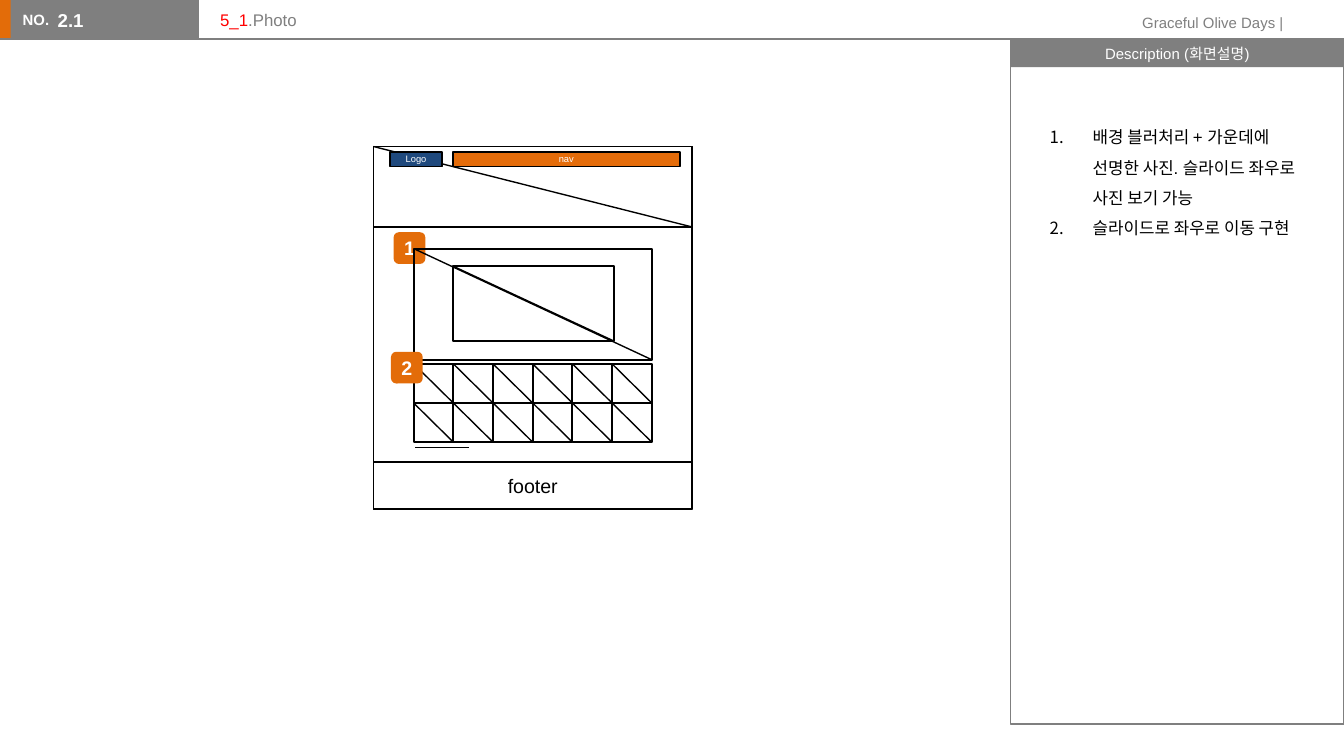
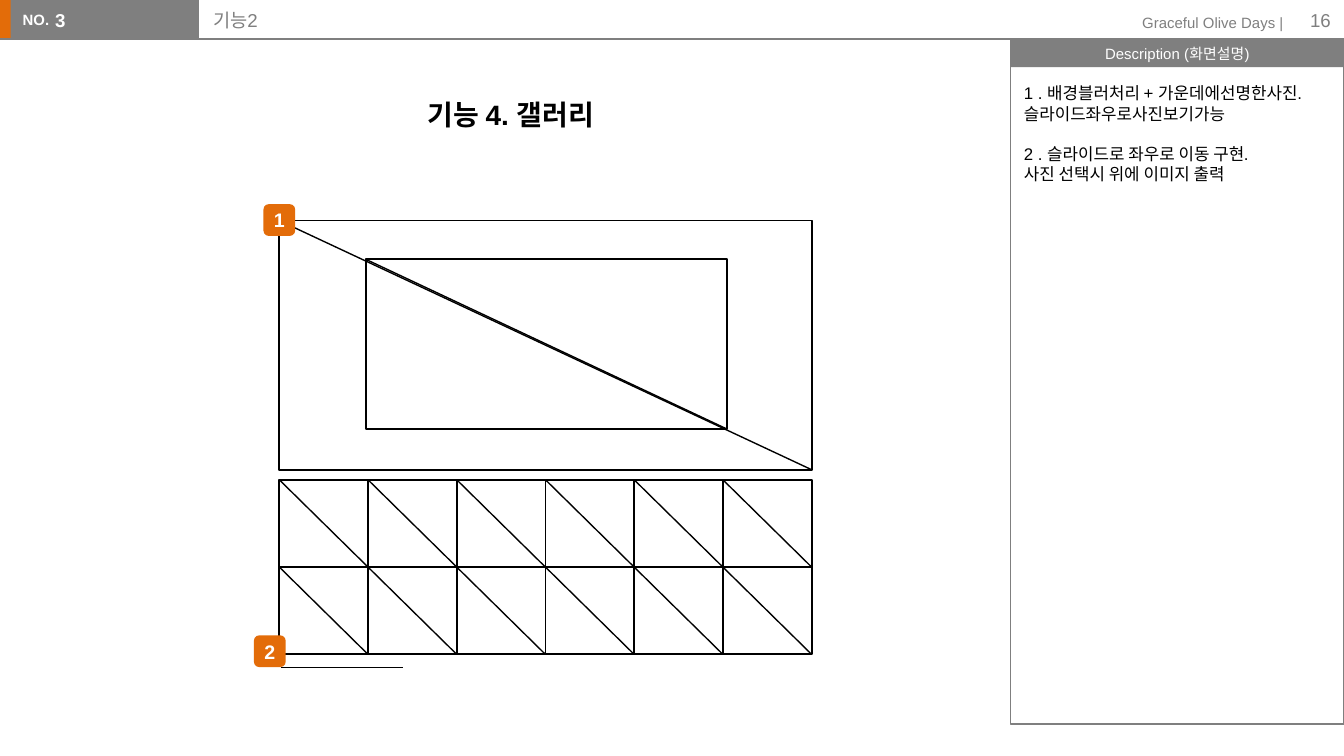
from pptx import Presentation
from pptx.dml.color import RGBColor
from pptx.enum import shapes, text
from pptx.oxml.ns import qn
from pptx.util import Cm, Pt
from lxml import etree

ORANGE = RGBColor(0xE3, 0x6C, 0x09)
NAV_ORANGE = RGBColor(0xE4, 0x6C, 0x0A)
NAVY = RGBColor(0x1F, 0x49, 0x7D)
GRAY = RGBColor(0x7F, 0x7F, 0x7F)
RED = RGBColor(0xFF, 0x00, 0x00)
BLACK = RGBColor(0x00, 0x00, 0x00)
WHITE = RGBColor(0xFF, 0xFF, 0xFF)

FONT = "Arial"
RECTANGLE = shapes.MSO_SHAPE.RECTANGLE
LEFT, CENTER, RIGHT = text.PP_ALIGN.LEFT, text.PP_ALIGN.CENTER, text.PP_ALIGN.RIGHT
TOP, MIDDLE = text.MSO_ANCHOR.TOP, text.MSO_ANCHOR.MIDDLE
BADGE_SIZE = 0.6
COLUMNS, ROWS = 6, 2


def add_line(target, start, end, color=BLACK):
    line = target.add_connector(shapes.MSO_CONNECTOR.STRAIGHT, *map(Cm, start + end))
    line.line.color.rgb = color
    line.line.width = Pt(0.75)
    etree.SubElement(line.element.spPr, qn("a:effectLst"))
    return line


def add_box(target, box, kind=RECTANGLE, fill=None, line=None, line_width=1, crossed=False,
            content="", size=9, color=BLACK, bold=False, align=CENTER, anchor=MIDDLE,
            inset=(0.25, 0.13)):
    """Add a preset shape, or a text box when kind is None; crossed adds a diagonal."""
    if kind is None:
        shape = target.add_textbox(*map(Cm, box))
    else:
        shape = target.add_shape(kind, *map(Cm, box))
        shape.shadow.inherit = False
        if fill is None:
            shape.fill.background()
        else:
            shape.fill.solid()
            shape.fill.fore_color.rgb = fill
        if line is None:
            shape.line.fill.background()
        else:
            shape.line.color.rgb = line
            shape.line.width = Pt(line_width)
    if content:
        frame = shape.text_frame
        frame.text = content
        frame.word_wrap = True
        frame.vertical_anchor = anchor
        frame.margin_left = frame.margin_right = Cm(inset[0])
        frame.margin_top = frame.margin_bottom = Cm(inset[1])
        for paragraph in frame.paragraphs:
            paragraph.alignment = align
            paragraph.font.name = FONT
            paragraph.font.size = Pt(size)
            paragraph.font.bold = bold
            paragraph.font.color.rgb = color
    if crossed:
        left, top, width, height = box
        add_line(target, (left, top), (left + width, top + height))
    return shape


presentation = Presentation()
presentation.slide_width = Cm(25.4)
presentation.slide_height = Cm(14.29)
layout = presentation.slide_layouts[1]
photo_slide = presentation.slides.add_slide(layout)
gallery_slide = presentation.slides.add_slide(layout)

# Shared frame, moved to the layout
for placeholder in list(layout.placeholders):
    if placeholder.placeholder_format.idx >= 10:
        layout.shapes.element.remove(placeholder.element)
target = photo_slide.shapes
frame_shapes = [
    add_box(target, (-0.03, 0, 0.3, 0.74), fill=ORANGE),
    add_box(target, (0.2, 0, 3.56, 0.74), fill=GRAY),
    add_box(target, (0.18, 0.08, 1.04, 0.61), kind=None, content="NO.", size=8,
            color=WHITE, bold=True, align=LEFT, anchor=TOP),
    add_line(target, (0, 0.74), (19.46, 0.74), GRAY),
    add_box(target, (19.1, 0.74, 6.3, 0.53), fill=GRAY, content="Description (화면설명)",
            size=8, color=WHITE, inset=(0.23, 0.1)),
    add_box(target, (19.1, 0.74, 6.3, 12.95), line=GRAY, line_width=0.75),
    add_box(target, (20.65, 0.13, 3.86, 0.61), kind=None, content="Graceful Olive Days |",
            size=8, color=GRAY, align=RIGHT, anchor=TOP),
]
frame_shapes[2].text_frame.word_wrap = False
for shape in frame_shapes:
    layout.shapes.element.append(shape.element)

# Titles and section numbers
headers = [
    (photo_slide, TOP, 0.13, 0,
     (3.91, 0.05, 14.25, 0.81), 9, [("5_1", RED), (".Photo", GRAY)],
     (1.09, 0.03, 2.79, 0.79), "2.1", 0.97, 0),
    (gallery_slide, MIDDLE, 0.25, 0.25,
     (3.78, 0, 14.25, 0.76), 10, [("기능2", GRAY)],
     (0.79, 0, 2.79, 0.76), "3", 0, 2),
]
for (slide, anchor, vertical_inset, number_inset, title_box, title_size, title_parts,
     number_box, number, hanging, space_before) in headers:
    title, body = slide.shapes.title, slide.placeholders[1]
    for shape, box, inset in ((title, title_box, 0.25), (body, number_box, number_inset)):
        shape.left, shape.top, shape.width, shape.height = map(Cm, box)
        frame = shape.text_frame
        frame.auto_size = text.MSO_AUTO_SIZE.NONE
        frame.vertical_anchor = anchor
        frame.margin_left = frame.margin_right = Cm(inset)
        frame.margin_top = frame.margin_bottom = Cm(vertical_inset)

    paragraph = title.text_frame.paragraphs[0]
    paragraph.alignment = LEFT
    paragraph.font.name = FONT
    paragraph.font.size = Pt(title_size)
    for part, color in title_parts:
        run = paragraph.add_run()
        run.text = part
        run.font.color.rgb = color

    body.text_frame.text = number
    paragraph = body.text_frame.paragraphs[0]
    properties = paragraph._p.get_or_add_pPr()
    properties.set("marL", str(Cm(hanging)))
    properties.set("indent", str(-Cm(hanging)))
    etree.SubElement(properties, qn("a:buNone"))
    paragraph.space_before = Pt(space_before)
    paragraph.font.name = FONT
    paragraph.font.size = Pt(10)
    paragraph.font.bold = True
    paragraph.font.color.rgb = WHITE

# Descriptions
description = add_box(
    photo_slide.shapes, (19.13, 2.08, 5.64, 3.15), kind=None, align=LEFT, anchor=TOP,
    content="배경 블러처리 + 가운데에 선명한 사진. 슬라이드 좌우로 사진 보기 가능\n"
            "슬라이드로 좌우로 이동 구현")
description.text_frame.auto_size = text.MSO_AUTO_SIZE.SHAPE_TO_FIT_TEXT
for paragraph in description.text_frame.paragraphs:
    paragraph.line_spacing = 1.5
    properties = paragraph._p.get_or_add_pPr()
    properties.set("marL", str(Cm(1.27)))
    properties.set("indent", str(Cm(-0.81)))
    bullet = etree.Element(qn("a:buAutoNum"), type="arabicPeriod")
    properties.find(qn("a:defRPr")).addprevious(bullet)

description = add_box(
    gallery_slide.shapes, (19.1, 1.32, 6.3, 12.34), kind=None, align=LEFT, anchor=TOP,
    inset=(0.25, 0.25),
    content="1 . 배경블러처리 + 가운데에선명한사진. 슬라이드좌우로사진보기가능\n"
            "2 . 슬라이드로 좌우로 이동 구현.\n"
            "사진 선택시 위에 이미지 출력")
description.text_frame.paragraphs[1].space_before = Pt(11)

# Page number and heading of the gallery slide
add_box(gallery_slide.shapes, (23.88, 0, 1.52, 0.76), kind=None, content="16", size=10,
        color=GRAY, align=RIGHT)
heading = add_box(gallery_slide.shapes, (0, 1.32, 19.1, 1.35), kind=None,
                  content="기능 4. 갤러리", size=15, bold=True)
paragraph = heading.text_frame.paragraphs[0]
paragraph.line_spacing = 1.5
paragraph.space_before = Pt(2.4)
properties = paragraph._p.get_or_add_pPr()
properties.set("marL", str(Cm(0.79)))
properties.set("indent", str(Cm(-0.58)))

# Page mock-up on the photo slide
target = photo_slide.shapes
add_box(target, (7.06, 2.77, 6.02, 6.86), line=BLACK)
add_box(target, (7.06, 2.77, 6.02, 1.52), line=BLACK, crossed=True)
add_box(target, (7.37, 2.87, 0.99, 0.28), fill=NAVY, line=BLACK, content="Logo", size=5,
        color=WHITE)
add_box(target, (8.56, 2.87, 4.29, 0.28), fill=NAV_ORANGE, line=BLACK, content="nav", size=5,
        color=WHITE)
add_box(target, (7.06, 8.74, 6.02, 0.89), fill=WHITE, line=BLACK, content="footer", size=10.5)

# Photo viewer with its thumbnails and numbered badges
galleries = [
    (photo_slide, (7.82, 4.7, 4.5, 2.1), (8.56, 5.03, 3.05, 1.42), 6.88, 0.74,
     (7.85, 8.46), 1.01, [(7.44, 4.39), (7.39, 6.65)]),
    (gallery_slide, (5.28, 4.17, 10.06, 4.71), (6.91, 4.9, 6.83, 3.21), 9.07, 1.65,
     (5.31, 12.62), 2.31, [(4.98, 3.86), (4.8, 12.01)]),
]
for (slide, backdrop, photo, thumbnails_top, row_height, underline, underline_length,
     badge_places) in galleries:
    group = slide.shapes.add_group_shape()
    for box in (backdrop, photo):
        add_box(group.shapes, box, line=BLACK, crossed=True)
    column_width = backdrop[2] / COLUMNS
    for row in range(ROWS):
        for column in range(COLUMNS):
            thumbnail = (backdrop[0] + column * column_width, thumbnails_top + row * row_height,
                         column_width, row_height)
            add_box(group.shapes, thumbnail, line=BLACK, crossed=True)
    add_line(group.shapes, underline, (underline[0] + underline_length, underline[1]))

    for number, place in enumerate(badge_places, 1):
        badge = add_box(slide.shapes, place + (BADGE_SIZE, BADGE_SIZE),
                        kind=shapes.MSO_SHAPE.ROUNDED_RECTANGLE, fill=ORANGE,
                        content=str(number), size=10.5, color=WHITE, bold=True,
                        inset=(0, 0.13))
        if slide is photo_slide and number == 1:
            group.element.addprevious(badge.element)  # the viewer overlaps this badge

presentation.save("out.pptx")
